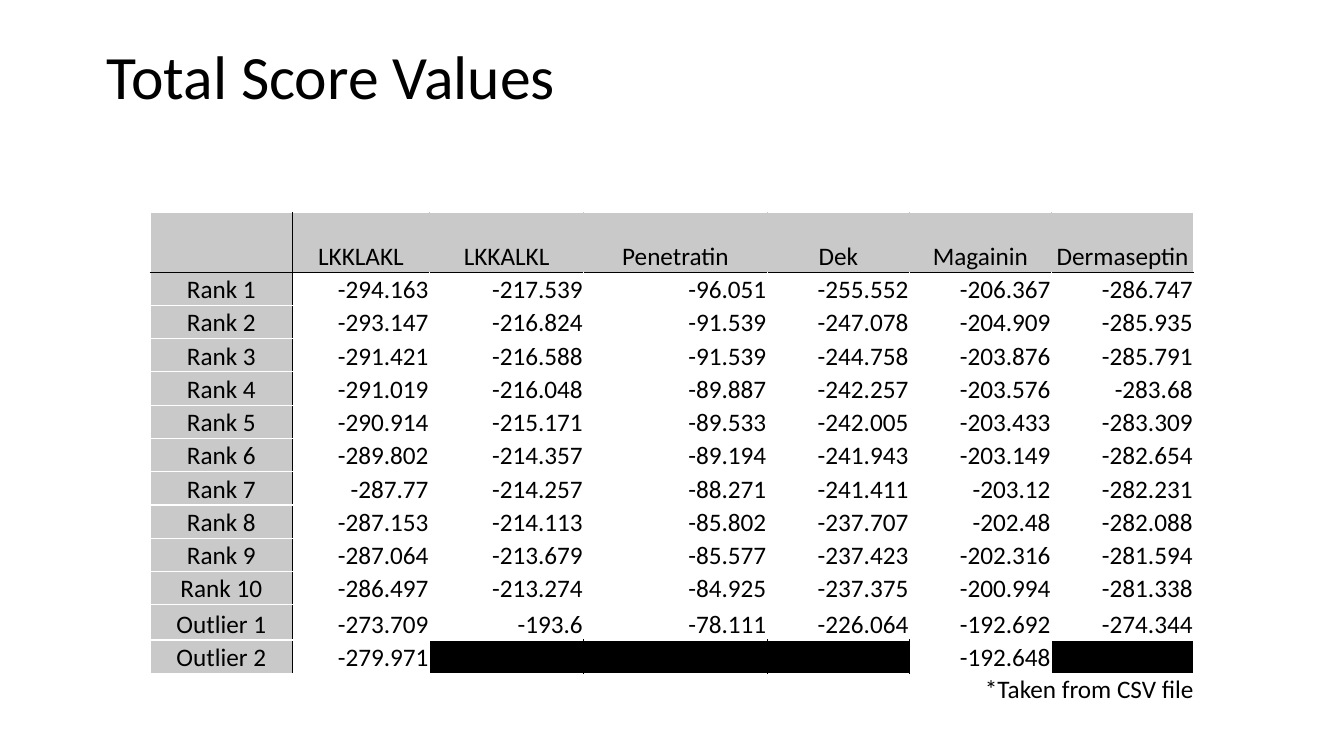
from dataclasses import dataclass

import lxml.etree
import pptx
import pptx.dml.color
import pptx.enum.text
import pptx.oxml.ns
import pptx.slide
import pptx.table
import pptx.util

Inches = pptx.util.Inches
Pt = pptx.util.Pt
RGBColor = pptx.dml.color.RGBColor
Align = pptx.enum.text.PP_ALIGN
Anchor = pptx.enum.text.MSO_ANCHOR

BLACK = RGBColor(0x00, 0x00, 0x00)
WHITE = RGBColor(0xFF, 0xFF, 0xFF)
GREY = RGBColor(0xC9, 0xC9, 0xC9)
FONT = "Calibri"

COLUMN_WIDTHS = [1.41, 1.36, 1.53, 1.82, 1.41, 1.41, 1.41]
HEADER_HEIGHT, ROW_HEIGHT, FIRST_OUTLIER_HEIGHT = 0.59, 0.33, 0.35
CELL_FORMAT = {
    "margin_left": Inches(0.01),
    "margin_top": Inches(0.01),
    "margin_right": Inches(0.01),
    "margin_bottom": Inches(0),
    "vertical_anchor": Anchor.BOTTOM,
}

SCORES = [
    ["", "LKKLAKL", "LKKALKL", "Penetratin", "Dek", "Magainin", "Dermaseptin"],
    ["Rank 1", "-294.163", "-217.539", "-96.051", "-255.552", "-206.367", "-286.747"],
    ["Rank 2", "-293.147", "-216.824", "-91.539", "-247.078", "-204.909", "-285.935"],
    ["Rank 3", "-291.421", "-216.588", "-91.539", "-244.758", "-203.876", "-285.791"],
    ["Rank 4", "-291.019", "-216.048", "-89.887", "-242.257", "-203.576", "-283.68"],
    ["Rank 5", "-290.914", "-215.171", "-89.533", "-242.005", "-203.433", "-283.309"],
    ["Rank 6", "-289.802", "-214.357", "-89.194", "-241.943", "-203.149", "-282.654"],
    ["Rank 7", "-287.77", "-214.257", "-88.271", "-241.411", "-203.12", "-282.231"],
    ["Rank 8", "-287.153", "-214.113", "-85.802", "-237.707", "-202.48", "-282.088"],
    ["Rank 9", "-287.064", "-213.679", "-85.577", "-237.423", "-202.316", "-281.594"],
    ["Rank 10", "-286.497", "-213.274", "-84.925", "-237.375", "-200.994", "-281.338"],
    ["Outlier 1", "-273.709", "-193.6", "-78.111", "-226.064", "-192.692", "-274.344"],
    ["Outlier 2", "-279.971", "", "", "", "-192.648", ""],
]


@dataclass
class Caption:
    text: str
    left: float
    top: float
    width: float
    height: float
    size: int
    line_spacing: float = 1.0


CAPTIONS = [
    Caption("Total Score Values", 0.96, 0.41, 11.5, 1.45, 44, 0.9),
    Caption("*Taken from CSV file", 9.67, 6.63, 3.66, 0.4, 18),
]


def set_font(font: pptx.text.text.Font, size: int) -> None:
    for name, value in {"name": FONT, "size": Pt(size), "bold": False}.items():
        setattr(font, name, value)
    font.color.rgb = BLACK


def add_caption(slide: pptx.slide.Slide, caption: Caption) -> None:
    box = slide.shapes.add_textbox(
        Inches(caption.left), Inches(caption.top), Inches(caption.width), Inches(caption.height)
    )
    frame = box.text_frame
    frame.word_wrap = True
    frame.vertical_anchor = Anchor.TOP
    paragraph = frame.paragraphs[0]
    paragraph.line_spacing = caption.line_spacing
    run = paragraph.add_run()
    run.text = caption.text
    set_font(run.font, caption.size)


def vertical_edge(row: int, column: int) -> RGBColor:
    """Colour of the border on the left of a column; the last one closes the table."""
    if column in (0, len(COLUMN_WIDTHS)):
        return WHITE
    if column == 1:
        return BLACK
    if row == 0:
        return GREY
    return WHITE if SCORES[row][column - 1] else BLACK


def horizontal_edge(row: int) -> RGBColor:
    """Colour of the border above a row."""
    return BLACK if row == 1 else WHITE


def add_border(cell: pptx.table._Cell, side: str, color: RGBColor) -> None:
    qn = pptx.oxml.ns.qn
    properties = cell._tc.get_or_add_tcPr()
    line = lxml.etree.SubElement(properties, qn(f"a:ln{side}"), w=str(Pt(1)))
    fill = lxml.etree.SubElement(line, qn("a:solidFill"))
    lxml.etree.SubElement(fill, qn("a:srgbClr"), val=str(color))


def fill_cell(cell: pptx.table._Cell, row: int, column: int) -> None:
    text = SCORES[row][column]
    is_heading = row == 0 or column == 0
    for name, value in CELL_FORMAT.items():
        setattr(cell, name, value)

    borders = {
        "L": vertical_edge(row, column),
        "R": vertical_edge(row, column + 1),
        "T": horizontal_edge(row),
        "B": horizontal_edge(row + 1),
    }
    for side, color in borders.items():
        add_border(cell, side, color)

    cell.fill.solid()
    cell.fill.fore_color.rgb = GREY if is_heading else WHITE if text else BLACK

    paragraph = cell.text_frame.paragraphs[0]
    paragraph.alignment = Align.CENTER if is_heading else Align.RIGHT
    if text:
        run = paragraph.add_run()
        run.text = text
        set_font(run.font, 18)


def add_score_table(slide: pptx.slide.Slide) -> None:
    row_heights = [HEADER_HEIGHT] + [ROW_HEIGHT] * (len(SCORES) - 1)
    row_heights[-2] = FIRST_OUTLIER_HEIGHT
    table = slide.shapes.add_table(
        len(SCORES), len(COLUMN_WIDTHS), Inches(1.49), Inches(2.11),
        Inches(sum(COLUMN_WIDTHS)), Inches(sum(row_heights)),
    ).table
    table.first_row = False
    table.horz_banding = False
    for column, width in zip(table.columns, COLUMN_WIDTHS):
        column.width = Inches(width)
    for row, height in zip(table.rows, row_heights):
        row.height = Inches(height)
    for row in range(len(SCORES)):
        for column in range(len(COLUMN_WIDTHS)):
            fill_cell(table.cell(row, column), row, column)


def main() -> None:
    presentation = pptx.Presentation()
    presentation.slide_width = Inches(13.33)
    presentation.slide_height = Inches(7.5)
    slide = presentation.slides.add_slide(presentation.slide_layouts[6])
    title, footnote = CAPTIONS
    add_caption(slide, title)
    add_score_table(slide)
    add_caption(slide, footnote)
    presentation.save("out.pptx")


if __name__ == "__main__":
    main()
